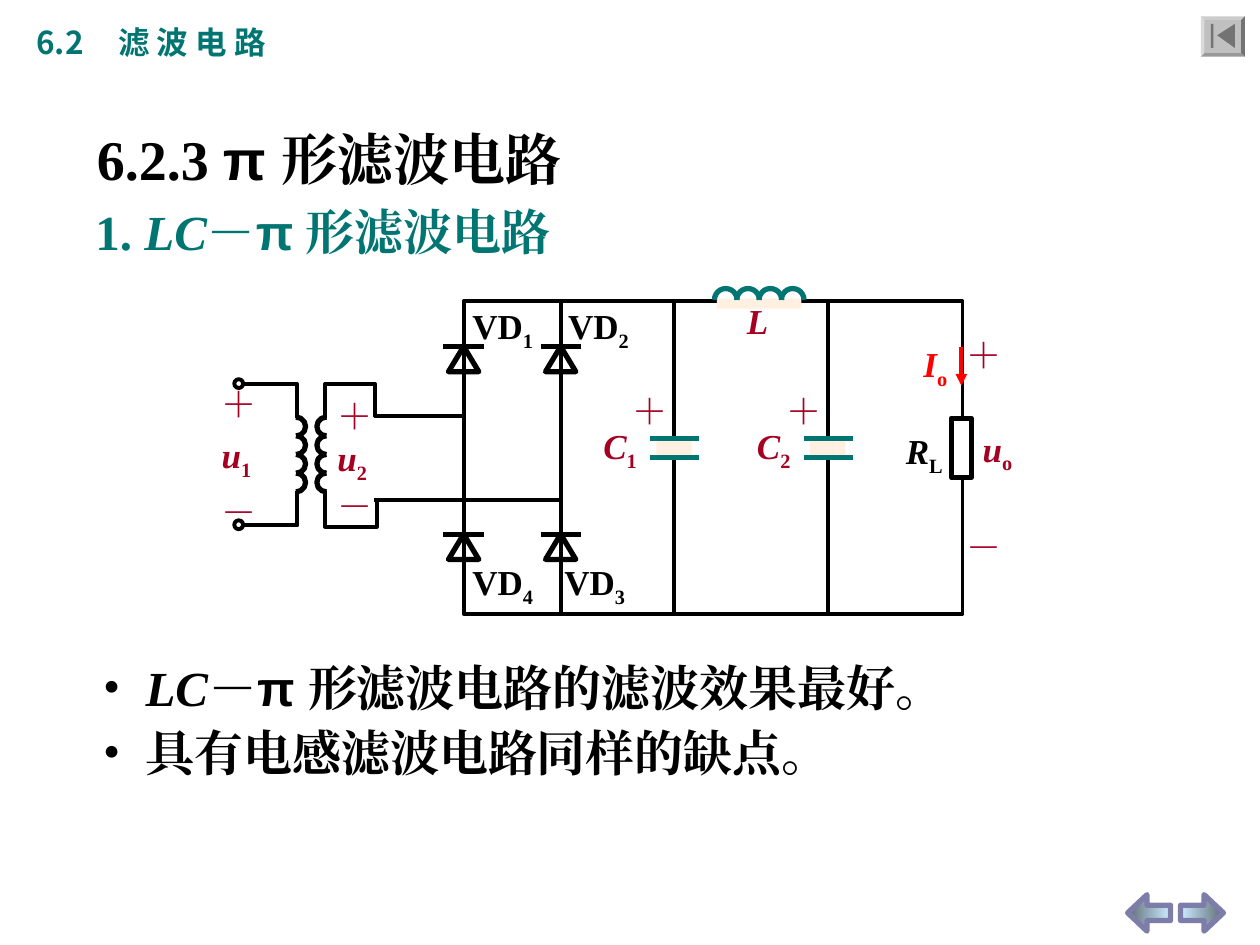
from lxml.etree import SubElement
from pptx import Presentation
from pptx.dml.color import RGBColor
from pptx.enum.shapes import MSO_CONNECTOR, MSO_SHAPE
from pptx.oxml.ns import qn
from pptx.util import Inches, Pt

BLACK = RGBColor(0x00, 0x00, 0x00)
WHITE = RGBColor(0xFF, 0xFF, 0xFF)
RED = RGBColor(0xFF, 0x00, 0x00)
CRIMSON = RGBColor(0xA5, 0x00, 0x21)
TEAL = RGBColor(0x00, 0x75, 0x72)
CREAM = RGBColor(0xFF, 0xF0, 0xE1)
SILVER = RGBColor(0xC0, 0xC0, 0xC0)
GRAY = RGBColor(0x73, 0x73, 0x73)
SLATE = RGBColor(0x5E, 0x6C, 0x75)
SKY = RGBColor(0xCC, 0xEC, 0xFF)
LAVENDER = RGBColor(0x7D, 0x7D, 0xA9)

SERIF, SANS, CHINESE = "Times New Roman", "Arial", "Noto Sans CJK SC"
WIRE, HEAVY = 2.25, 3

# A run is (text, style); style is "" for plain, "i" italic, "sub" subscript, "sans" Arial
PLUS, MINUS = [("＋", "")], [("－", "")]


def symbol(letter, index, style="i"):
    return [(letter, style), (index, "sub")]


HEADER = [[("6.2\t滤 波 电 路", "")]]
TITLE = [[("6.2.3 ", ""), ("π ", "sans"), ("形滤波电路", "")]]
SUBTITLE = [[("1. ", ""), ("LC", "i"), ("－", ""), ("π", "sans"), (" 形滤波电路", "")]]
BULLETS = [
    [(" LC", "i"), ("－", ""), ("π ", "sans"), ("形滤波电路的滤波效果最好。", "")],
    [(" 具有电感滤波电路同样的缺点。", "")],
]

# left, top, width, height, paragraphs, colour, space between paragraphs
LABELS = [
    (3.65, 2.37, 0.75, 0.48, [symbol("VD", "1", "")], BLACK, 0),
    (4.41, 2.37, 0.75, 0.48, [symbol("VD", "2", "")], BLACK, 0),
    (4.38, 4.4, 0.75, 0.48, [symbol("VD", "3", "")], BLACK, 0),
    (3.65, 4.4, 0.75, 0.48, [symbol("VD", "4", "")], BLACK, 0),
    (7.09, 3.36, 0.52, 0.48, [symbol("R", "L")], BLACK, 0),
    (7.23, 2.67, 0.42, 0.48, [symbol("I", "o")], RED, 0),
    (5.83, 2.33, 0.44, 0.44, [[("L", "i")]], CRIMSON, 0),
    (1.66, 2.99, 0.48, 1.29, [PLUS, symbol("u", "1"), MINUS], CRIMSON, 5),
    (2.58, 3.08, 0.48, 1.15, [PLUS, symbol("u", "2"), MINUS], CRIMSON, 0),
    (7.57, 2.6, 0.48, 0.44, [PLUS], CRIMSON, 0),
    (7.7, 3.34, 0.5, 0.48, [symbol("u", "o")], CRIMSON, 0),
    (7.57, 4.12, 0.48, 0.44, [MINUS], CRIMSON, 0),
]
WIRES = [
    [(1.94, 3.05), (2.36, 3.05), (2.36, 3.32)],
    [(1.94, 4.17), (2.36, 4.17), (2.36, 3.9)],
    [(2.98, 3.31), (2.98, 3.05), (2.58, 3.05), (2.58, 3.32)],
    [(2.99, 3.95), (2.99, 4.18), (2.58, 4.18), (2.58, 3.9)],
]
STRAIGHT_WIRES = [
    (4.45, 2.4, 4.45, 4.87),
    (2.97, 3.97, 4.45, 3.97),
    (2.97, 3.3, 3.68, 3.3),
]
DIODES = [(x, y) for x in (3.68, 4.45) for y in (2.75, 4.24)]
TERMINALS = [(1.86, 3.01), (1.86, 4.13)]
CAPACITORS = [(5.35, "1"), (6.57, "2")]

presentation = Presentation()
presentation.slide_width, presentation.slide_height = Inches(10), Inches(7.5)
slide = presentation.slides.add_slide(presentation.slide_layouts[6])
shapes = slide.shapes


def set_face(font, name):
    """Use one typeface for Latin and East Asian characters."""
    font.name = name
    SubElement(font._rPr, qn("a:ea"), typeface=name)


def add_text(left, top, width, height, paragraphs, color, gap=0, size=20,
             face=SERIF, bullet=False, tab=None):
    box = shapes.add_textbox(Inches(left), Inches(top), Inches(width), Inches(height))
    frame = box.text_frame
    frame.word_wrap = True
    for number, runs in enumerate(paragraphs):
        paragraph = frame.add_paragraph() if number else frame.paragraphs[0]
        if number:
            paragraph.space_before = Pt(gap)
        properties = paragraph._p.get_or_add_pPr()
        if bullet:
            properties.set("marL", str(Inches(0.24)))
            properties.set("indent", str(-Inches(0.24)))
            SubElement(properties, qn("a:buFont"), typeface=SERIF)
            SubElement(properties, qn("a:buChar"), char="•")
        if tab:
            stops = SubElement(properties, qn("a:tabLst"))
            SubElement(stops, qn("a:tab"), pos=str(Inches(tab)), algn="l")
        font = paragraph.font
        font.size, font.bold = Pt(size), True
        font.color.rgb = color
        set_face(font, face)
        for text, style in runs:
            run = paragraph.add_run()
            run.text = text
            if style == "i":
                run.font.italic = True
            elif style == "sub":
                run.font._rPr.set("baseline", "-25000")
            elif style == "sans":
                set_face(run.font, SANS)


def paint(shape, fill=None, line=None, weight=WIRE):
    shape.shadow.inherit = False
    if fill is None:
        shape.fill.background()
    else:
        shape.fill.solid()
        shape.fill.fore_color.rgb = fill
    if line is None:
        shape.line.fill.background()
    else:
        shape.line.color.rgb = line
        shape.line.width = Pt(weight)


def add_preset(kind, left, top, width, height, adjustments=(), **style):
    shape = shapes.add_shape(kind, Inches(left), Inches(top), Inches(width), Inches(height))
    for index, value in enumerate(adjustments):
        shape.adjustments[index] = value
    paint(shape, **style)
    return shape


def add_line(x1, y1, x2, y2, color=BLACK, weight=WIRE, arrow=False):
    line = shapes.add_connector(
        MSO_CONNECTOR.STRAIGHT, Inches(x1), Inches(y1), Inches(x2), Inches(y2))
    line.line.color.rgb = color
    line.line.width = Pt(weight)
    if arrow:
        SubElement(line.line._get_or_add_ln(), qn("a:tailEnd"), type="triangle")
    SubElement(line._element.spPr, qn("a:effectLst"))


def add_outline(contours, closed, **style):
    builder = None
    for points in contours:
        start = [Inches(value) for value in points[0]]
        if builder is None:
            builder = shapes.build_freeform(*start)
        else:
            builder.move_to(*start)
        builder.add_line_segments([(Inches(x), Inches(y)) for x, y in points[1:]], close=closed)
    paint(builder.convert_to_shape(), **style)


def add_turn(center_x, center_y, size, start, end, color):
    """Half a circle, clockwise from start to end in degrees."""
    add_preset(MSO_SHAPE.ARC, center_x - size / 2, center_y - size / 2, size, size,
               (start * 0.6, end * 0.6), line=color, weight=HEAVY)


# Frame, load and bridge
add_preset(MSO_SHAPE.RECTANGLE, 3.68, 2.39, 3.96, 2.48, line=BLACK)
add_preset(MSO_SHAPE.RECTANGLE, 7.55, 3.32, 0.16, 0.47, fill=WHITE, line=BLACK, weight=HEAVY)
for wire in STRAIGHT_WIRES:
    add_line(*wire)
for x, y in DIODES:
    add_line(x - 0.16, y, x + 0.16, y, weight=HEAVY)
    add_preset(MSO_SHAPE.ISOSCELES_TRIANGLE, x - 0.12, y, 0.24, 0.2, line=BLACK, weight=HEAVY)
add_line(7.63, 2.75, 7.63, 3.06, RED, arrow=True)

# Transformer
for left, top in TERMINALS:
    add_preset(MSO_SHAPE.OVAL, left, top, 0.07, 0.07, line=BLACK)
for points in WIRES:
    add_outline([points], False, line=BLACK)
for turn in range(4):
    y = 3.385 + 0.148 * turn
    add_turn(2.35, y, 0.15, 270, 90, BLACK)
    add_turn(2.59, y, 0.15, 90, 270, BLACK)

# Inductor and capacitors
add_preset(MSO_SHAPE.RECTANGLE, 5.69, 2.37, 0.67, 0.08, fill=CREAM)
for turn in range(4):
    add_turn(5.76 + 0.177 * turn, 2.38, 0.18, 180, 0, TEAL)
for x, index in CAPACITORS:
    add_line(x, 2.37, x, 4.89)
    add_preset(MSO_SHAPE.RECTANGLE, x - 0.14, 3.48, 0.28, 0.16, fill=CREAM)
    for y in (3.48, 3.63):
        add_line(x - 0.19, y, x + 0.2, y, TEAL, HEAVY)
    add_text(x - 0.66, 3.32, 0.53, 0.48, [symbol("C", index)], CRIMSON)
    add_text(x - 0.43, 3.04, 0.48, 0.44, [PLUS], CRIMSON)

for label in LABELS:
    add_text(*label)

# Headings and conclusions
add_text(0.19, 0.13, 2.4, 0.4, HEADER, TEAL, size=18, face=CHINESE, tab=0.65)
add_text(0.67, 0.94, 4.5, 0.64, TITLE, BLACK, size=32)
add_text(0.66, 1.55, 4.5, 0.57, SUBTITLE, TEAL, size=28)
add_text(0.72, 5.17, 7.06, 1.09, BULLETS, BLACK, gap=3.5, size=28, bullet=True)

# Navigation
for kind, left, angle in ((MSO_SHAPE.LEFT_ARROW, 8.95, 0), (MSO_SHAPE.RIGHT_ARROW, 9.37, 180)):
    arrow = add_preset(kind, left, 7.1, 0.34, 0.29, (0.42, 0.53), line=LAVENDER, weight=HEAVY)
    arrow.fill.gradient()
    arrow.fill.gradient_angle = angle
    for stop, color in zip(arrow.fill.gradient_stops, (SLATE, SKY)):
        stop.color.rgb = color
add_preset(MSO_SHAPE.BEVEL, 9.53, 0.13, 0.35, 0.32, (0.09,), fill=SILVER)
add_outline([[(9.66, 0.28), (9.8, 0.19), (9.8, 0.38)],
             [(9.61, 0.19), (9.63, 0.19), (9.63, 0.38), (9.61, 0.38)]], True, fill=GRAY)

presentation.save("out.pptx")
